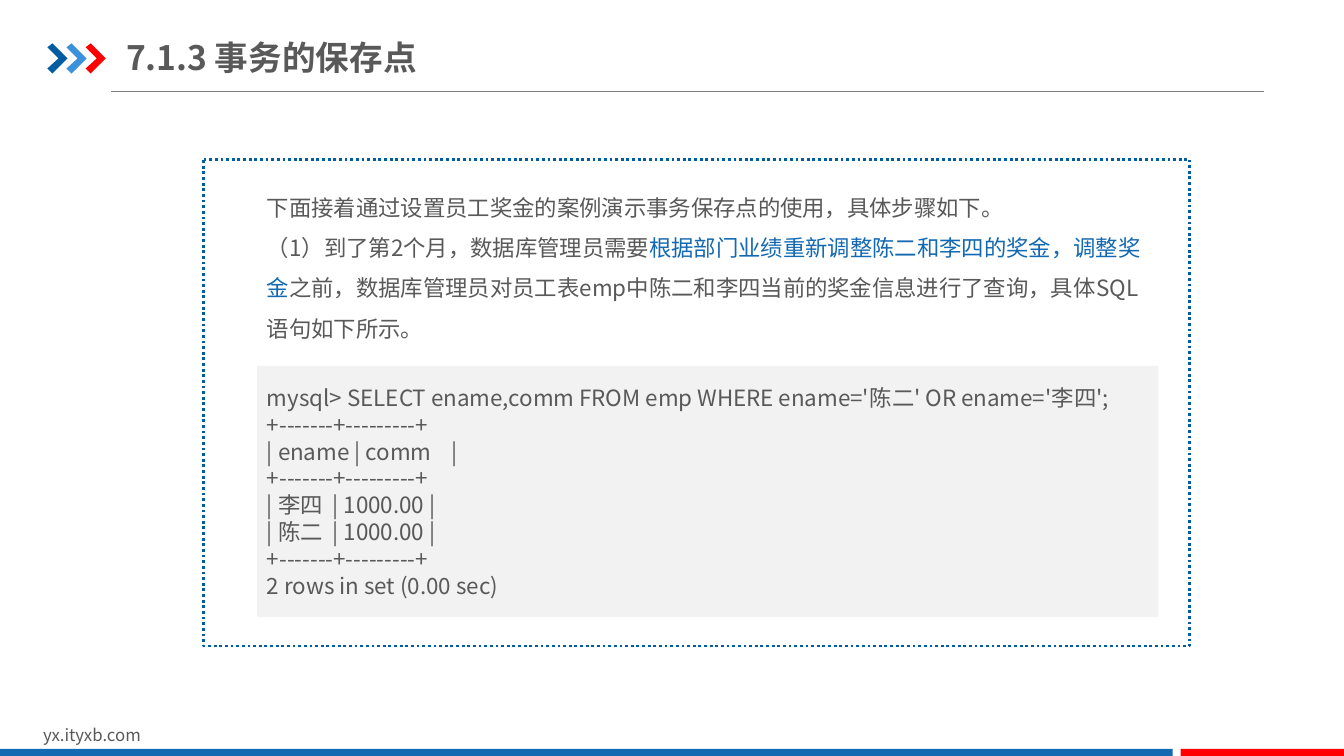
from dataclasses import dataclass

from lxml.etree import SubElement
from pptx import Presentation
from pptx.dml.color import RGBColor
from pptx.enum.dml import MSO_LINE
from pptx.enum.shapes import MSO_CONNECTOR, MSO_SHAPE
from pptx.enum.text import MSO_ANCHOR, MSO_AUTO_SIZE, PP_ALIGN
from pptx.oxml.ns import qn
from pptx.util import Pt

PX = 9144  # 100 px to the inch
FONT = "Noto Sans CJK SC"
INK = {
    "text": "595959", "rule": "808080", "navy": "005DA2", "sky": "3992DB",
    "red": "FF0000", "blue": "1369B2", "white": "FFFFFF", "pale": "F2F2F2",
}


@dataclass
class Box:
    x: int
    y: int
    w: int
    h: int

    def emu(self) -> tuple[int, ...]:
        return tuple(v * PX for v in (self.x, self.y, self.w, self.h))


@dataclass
class Panel:
    box: Box
    fill: str
    kind: MSO_SHAPE = MSO_SHAPE.RECTANGLE


@dataclass
class Arrow:
    x: int
    fill: str


@dataclass
class Span:
    text: str
    ink: str = "text"


ARROWS = [Arrow(47, "navy"), Arrow(66, "sky"), Arrow(85, "red")]
ARROW_TOP = 43
OUTLINE = [(0, 4), (5, 0), (20, 15), (5, 30), (0, 25), (11, 15)]
BARS = [Panel(Box(0, 743, 1163, 9), "blue"), Panel(Box(1171, 743, 163, 9), "red")]
FRAME = Panel(Box(202, 158, 978, 483), "white", MSO_SHAPE.FLOWCHART_PROCESS)
CODE_BOX = Panel(Box(255, 363, 894, 249), "pale")

INTRO = [
    [Span("下面接着通过设置员工奖金的案例演示事务保存点的使用，具体步骤如下。")],
    [
        Span("（1）到了第2个月，数据库管理员需要"),
        Span("根据部门业绩重新调整陈二和李四的奖金，调整奖金", "blue"),
        Span("之前，数据库管理员对员工表emp中陈二和李四当前的奖金信息进行了查询，"
             "具体SQL语句如下所示。"),
    ],
]
CODE = """mysql> SELECT ename,comm FROM emp WHERE ename='陈二' OR ename='李四';
+-------+---------+
| ename | comm    |
+-------+---------+
| 李四  | 1000.00 |
| 陈二  | 1000.00 |
+-------+---------+
2 rows in set (0.00 sec)"""


def color(name: str) -> RGBColor:
    return RGBColor.from_string(INK[name])


def paint(shape, fill: str) -> None:
    shape.shadow.inherit = False
    shape.fill.solid()
    shape.fill.fore_color.rgb = color(fill)
    shape.line.fill.background()


def draw_panel(shapes, panel: Panel):
    shape = shapes.add_shape(panel.kind, *panel.box.emu())
    paint(shape, panel.fill)
    return shape


def draw_arrow(shapes, arrow: Arrow) -> None:
    dots = [(arrow.x + x, ARROW_TOP + y) for x, y in OUTLINE]
    pen = shapes.build_freeform(*dots[0], scale=PX)
    pen.add_line_segments(dots[1:], close=True)
    paint(pen.convert_to_shape(), arrow.fill)


def write(frame, rows: list[list[Span]], size: int, bold: bool = False,
          space: float = 1.0) -> None:
    frame.word_wrap = True
    frame.text = "\n".join("" for _ in rows)
    for para, spans in zip(frame.paragraphs, rows):
        para.alignment = PP_ALIGN.LEFT
        para.line_spacing = space
        for span in spans:
            run = para.add_run()
            run.text = span.text
            font = run.font
            font.size, font.bold, font.name = Pt(size), bold, FONT
            font.color.rgb = color(span.ink)
            SubElement(font._element, qn("a:ea"), typeface=FONT)


def main() -> None:
    deck = Presentation()
    deck.slide_width, deck.slide_height = 1333 * PX, 750 * PX
    slide = deck.slides.add_slide(deck.slide_layouts[5])
    shapes = slide.shapes

    # Heading
    title = shapes.title
    title.left, title.top, title.width, title.height = Box(125, 29, 426, 55).emu()
    frame = title.text_frame
    write(frame, [[Span("7.1.3 事务的保存点")]], 24, bold=True)
    frame.auto_size = MSO_AUTO_SIZE.NONE
    frame.vertical_anchor = MSO_ANCHOR.MIDDLE
    frame.margin_left = frame.margin_right = 0
    frame.margin_top = frame.margin_bottom = 7 * PX

    rule = shapes.add_connector(
        MSO_CONNECTOR.STRAIGHT, 110 * PX, 91 * PX, 1254 * PX, 91 * PX)
    rule.line.color.rgb = color("rule")
    rule.line.width = Pt(0.75)
    SubElement(rule._element.spPr, qn("a:effectLst"))
    for arrow in ARROWS:
        draw_arrow(shapes, arrow)

    # Footer
    site = shapes.add_textbox(*Box(33, 714, 318, 30).emu())
    write(site.text_frame, [[Span("yx.ityxb.com")]], 12)
    for bar in BARS:
        draw_panel(shapes, bar)

    # Dotted frame with the steps
    border = draw_panel(shapes, FRAME).line
    border.color.rgb = color("navy")
    border.width = Pt(2)
    border.dash_style = MSO_LINE.ROUND_DOT
    intro = shapes.add_textbox(*Box(255, 174, 894, 172).emu())
    write(intro.text_frame, INTRO, 16, space=1.5)

    # Query and its result
    code = draw_panel(shapes, CODE_BOX).text_frame
    write(code, [[Span(row)] for row in CODE.split("\n")], 16)
    code.vertical_anchor = MSO_ANCHOR.MIDDLE

    deck.save("out.pptx")


if __name__ == "__main__":
    main()
